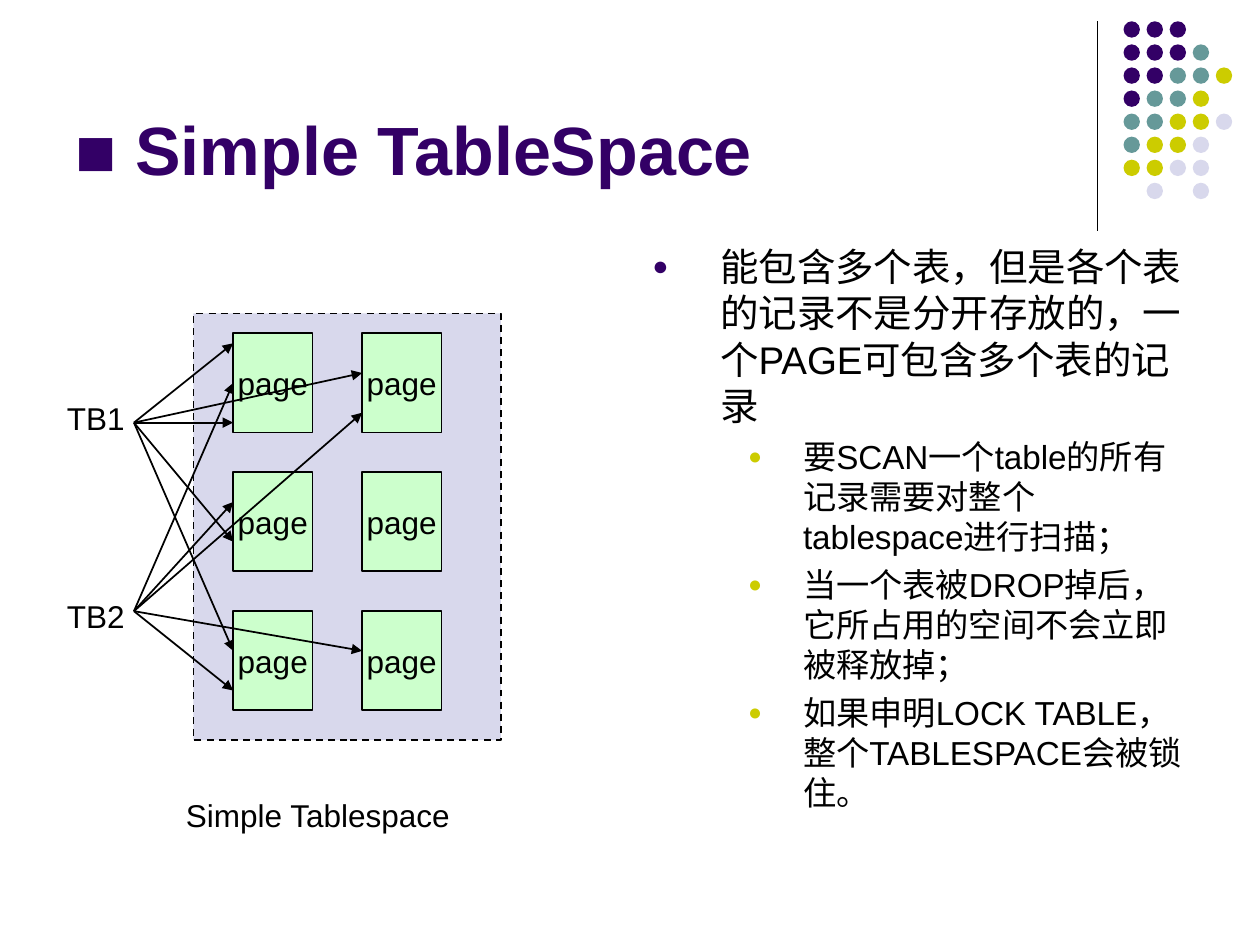
from lxml import etree
from pptx import Presentation
from pptx.dml.color import RGBColor
from pptx.enum.dml import MSO_LINE
from pptx.enum.shapes import MSO_CONNECTOR, MSO_SHAPE
from pptx.enum.text import MSO_ANCHOR, PP_ALIGN
from pptx.oxml.ns import qn
from pptx.util import Cm, Pt

BLACK = RGBColor(0x00, 0x00, 0x00)
PURPLE = RGBColor(0x33, 0x00, 0x66)
TEAL = RGBColor(0x66, 0x99, 0x99)
OLIVE = RGBColor(0xCC, 0xCC, 0x00)
LAVENDER = RGBColor(0xD8, 0xD8, 0xEC)
GREEN = RGBColor(0xCC, 0xFF, 0xCC)

DOT_COLORS = {"P": PURPLE, "T": TEAL, "O": OLIVE, "L": LAVENDER}
DOT_ROWS = ["PPP", "PPPT", "PPTTO", "PTTO", "TTOOL", "TOOL", "OOLL", " L L"]

MAIN_POINT = "能包含多个表，但是各个表的记录不是分开存放的，一个PAGE可包含多个表的记录"
SUB_POINTS = [
    "要SCAN一个table的所有记录需要对整个tablespace进行扫描；",
    "当一个表被DROP掉后，它所占用的空间不会立即被释放掉；",
    "如果申明LOCK TABLE，整个TABLESPACE会被锁住。",
]


def add_run(paragraph, text, size=18, color=BLACK, bold=False):
    run = paragraph.add_run()
    run.text = text
    run.font.name = "Arial"
    run.font.size = Pt(size)
    run.font.bold = bold
    run.font.color.rgb = color


def add_text_box(slide, left, top, width, height, anchor=MSO_ANCHOR.TOP):
    box = slide.shapes.add_textbox(Cm(left), Cm(top), Cm(width), Cm(height))
    box.text_frame.word_wrap = True
    box.text_frame.vertical_anchor = anchor
    return box.text_frame


def add_label(slide, text, left, top, width):
    frame = add_text_box(slide, left, top, width, 1.02)
    add_run(frame.paragraphs[0], text)


def add_filled_shape(slide, kind, left, top, width, height, fill, outlined=True):
    shape = slide.shapes.add_shape(kind, Cm(left), Cm(top), Cm(width), Cm(height))
    shape.shadow.inherit = False
    shape.fill.solid()
    shape.fill.fore_color.rgb = fill
    if outlined:
        shape.line.color.rgb = BLACK
        shape.line.width = Pt(1)
    else:
        shape.line.fill.background()
    return shape


def add_line(slide, start, end, width=1, arrow=False):
    points = [Cm(value) for value in (*start, *end)]
    connector = slide.shapes.add_connector(MSO_CONNECTOR.STRAIGHT, *points)
    connector.line.color.rgb = BLACK
    connector.line.width = Pt(width)
    if arrow:
        etree.SubElement(connector.line._get_or_add_ln(), qn("a:tailEnd"), type="triangle")
    etree.SubElement(connector._element.spPr, qn("a:effectLst"))
    return connector


def add_bullet(paragraph, color, margin, hanging):
    properties = paragraph._p.get_or_add_pPr()
    properties.set("marL", str(Cm(margin)))
    properties.set("indent", str(-Cm(hanging)))
    bullet_color = etree.SubElement(properties, qn("a:buClr"))
    etree.SubElement(bullet_color, qn("a:srgbClr"), val=str(color))
    etree.SubElement(properties, qn("a:buSzPct"), val="70000")
    etree.SubElement(properties, qn("a:buFont"), typeface="Arial")
    etree.SubElement(properties, qn("a:buChar"), char="●")


def add_dot_ornament(slide, left, top):
    add_line(slide, (left, top), (left, top + 4.22), width=0.75)
    pitch, diameter = 0.465, 0.33
    for row, codes in enumerate(DOT_ROWS):
        for column, code in enumerate(codes):
            if code in DOT_COLORS:
                add_filled_shape(slide, MSO_SHAPE.OVAL, left + 0.53 + column * pitch,
                                 top + row * pitch, diameter, diameter,
                                 DOT_COLORS[code], outlined=False)


def add_title(slide, left, top, width, height):
    paragraph = add_text_box(slide, left, top, width, height, MSO_ANCHOR.BOTTOM).paragraphs[0]
    add_run(paragraph, "■", size=39, color=PURPLE)
    add_run(paragraph, " Simple TableSpace", size=39, color=PURPLE, bold=True)


def add_points(slide, left, top, width, height):
    frame = add_text_box(slide, left, top, width, height)
    main = frame.paragraphs[0]
    add_bullet(main, PURPLE, margin=1.37, hanging=1.37)
    add_run(main, MAIN_POINT, size=22)
    for text in SUB_POINTS:
        paragraph = frame.add_paragraph()
        paragraph.level = 1
        add_bullet(paragraph, OLIVE, margin=3.04, hanging=1.11)
        paragraph.space_before = Pt(4.8)
        add_run(paragraph, text, size=19)


def add_page(slide, left, top):
    page = add_filled_shape(slide, MSO_SHAPE.RECTANGLE, left, top, 1.6, 2, GREEN)
    frame = page.text_frame
    frame.word_wrap = False
    frame.vertical_anchor = MSO_ANCHOR.MIDDLE
    frame.paragraphs[0].alignment = PP_ALIGN.CENTER
    add_run(frame.paragraphs[0], "page")
    return page


def add_tablespace(slide, left, top, width, height):
    container = add_filled_shape(slide, MSO_SHAPE.RECTANGLE, left, top, width, height, LAVENDER)
    container.line.dash_style = MSO_LINE.DASH
    columns = [left + 0.8, left + 3.4]
    rows = [top + 0.4 + 2.8 * row for row in range(3)]
    pages = [[add_page(slide, x, y) for y in rows] for x in columns]

    tables = [
        ("TB1", 1.6, 2.2, [(0, 0.6), (0, 2.2), (0, 4.6), (0, 6.8), (1, 1.2)]),
        ("TB2", 5.6, 6, [(0, 3.8), (0, 7.6), (1, 2), (1, 6.8)]),
    ]
    for name, label_top, start, targets in tables:
        add_label(slide, name, left - 2.8, top + label_top, 1.8)
        origin = (left - 1.2, top + start)
        for column, end in targets:
            add_line(slide, origin, (columns[column], top + end), arrow=True)
    joined = add_line(slide, origin, (columns[0], rows[0] + 1), arrow=True)
    joined.end_connect(pages[0][0], 1)
    add_label(slide, "Simple Tablespace", left - 0.4, top + height + 1, 6.4)


def main():
    presentation = Presentation()
    presentation.slide_width = Cm(25.4)
    presentation.slide_height = Cm(19.05)
    slide = presentation.slides.add_slide(presentation.slide_layouts[6])
    add_dot_ornament(slide, 22.12, 0.43)
    add_title(slide, 1.27, 0.33, 20.95, 3.6)
    add_points(slide, 12.9, 4.78, 11.23, 12.24)
    add_tablespace(slide, 3.9, 6.32, 6.2, 8.6)
    presentation.save("out.pptx")


if __name__ == "__main__":
    main()
